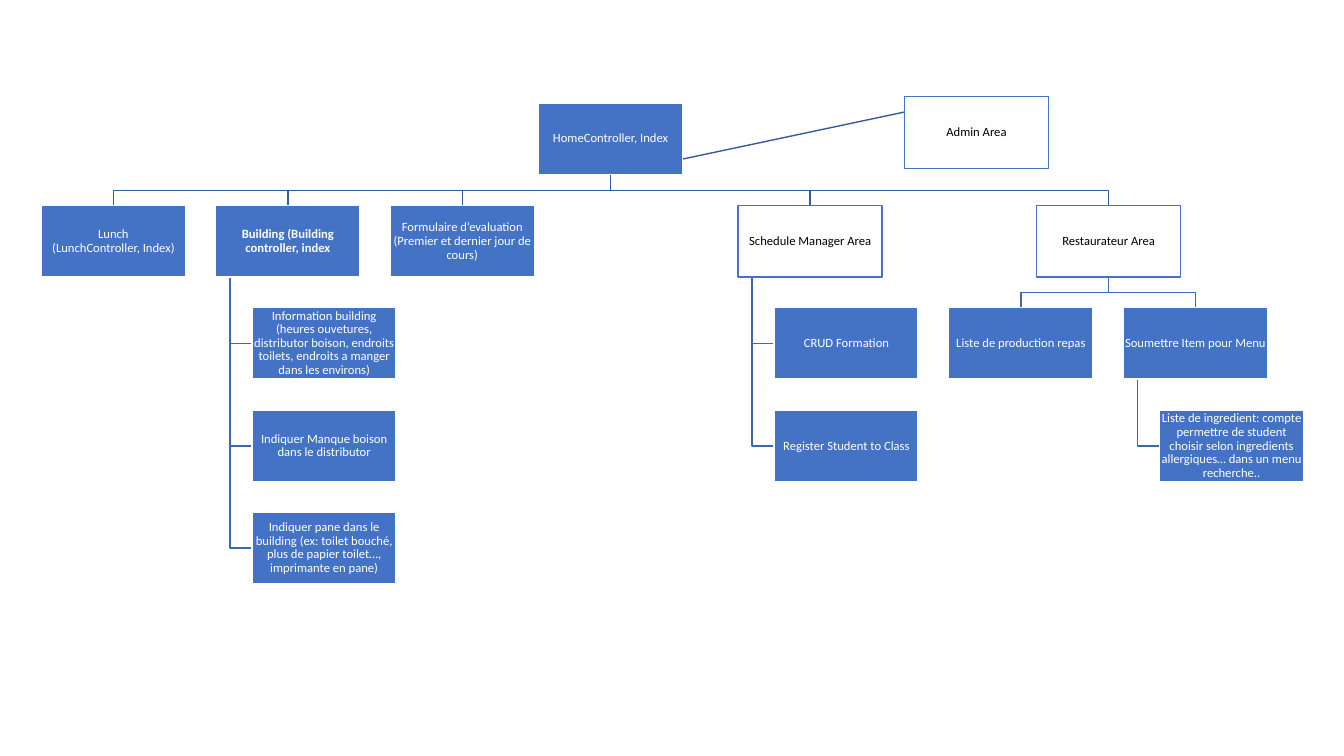
from copy import deepcopy

from lxml import etree
from pptx import Presentation
from pptx import util as u
from pptx.dml.color import RGBColor
from pptx.enum import shapes, text
from pptx.oxml.ns import qn

PX = 9144  # 100 px to the inch
BOX_WIDTH, BOX_HEIGHT = 143, 71
BLUE, WHITE, BLACK = "4472C4", "FFFFFF", "000000"
TRUNK, BRANCH = "365B9D", "3E67B2"
HANG_INDENT, STEM_INDENT, BAR_GAP = 36, 14, 15

PAGE_BOX = {"fill": BLUE, "line": WHITE, "font": WHITE, "width": 1, "bold": False}
BOLD_BOX = {**PAGE_BOX, "bold": True}
EDGED_BOX = {**PAGE_BOX, "width": 1.5}
AREA_BOX = {**PAGE_BOX, "fill": WHITE, "line": BLUE, "font": BLACK}


def color(code):
    return RGBColor.from_string(code)


def row_top(row):
    """Rows are 101.5 px apart, the first at 102."""
    return 102 + (203 * row + 1) // 2


def apply(target, values):
    for name, value in values.items():
        setattr(target, name, value)


def add_box(page, left, top, words, style=PAGE_BOX):
    box = page.shapes.add_shape(
        shapes.MSO_SHAPE.RECTANGLE,
        *(n * PX for n in (left, top, BOX_WIDTH, BOX_HEIGHT)))
    box.shadow.inherit = False
    box.fill.solid()
    box.fill.fore_color.rgb = color(style["fill"])
    box.line.color.rgb = color(style["line"])
    box.line.width = u.Pt(style["width"])
    frame = box.text_frame
    apply(frame, {"word_wrap": True, "vertical_anchor": text.MSO_ANCHOR.MIDDLE,
                  "margin_left": PX, "margin_right": PX,
                  "margin_top": PX, "margin_bottom": PX})
    para = frame.paragraphs[0]
    para.text = words
    apply(para, {"alignment": text.PP_ALIGN.CENTER, "line_spacing": 0.9})
    for span in para.runs:
        apply(span.font, {"name": "Calibri", "size": u.Pt(9), "bold": style["bold"]})
        span.font.color.rgb = color(style["font"])
    for line_break in para._p.findall(qn("a:br")):
        line_break.append(deepcopy(para.runs[0]._r.rPr))
    return box


def put_behind(line, root, code):
    line.line.color.rgb = color(code)
    line.line.width = u.Pt(1)
    root._element.addprevious(line._element)


def add_path(page, root, points, code):
    builder = page.shapes.build_freeform(*points[0])
    builder.add_line_segments(points[1:], close=False)
    line = builder.convert_to_shape()
    line.fill.background()
    line.shadow.inherit = False
    put_behind(line, root, code)


def join_below(page, root, parent, child, code):
    """Draw a stem, a bar and a drop from the parent to the top of the child."""
    start, end = (box.left + box.width // 2 for box in (parent, child))
    bottom = parent.top + parent.height
    bar = child.top - BAR_GAP * PX
    add_path(page, root, [(start, bottom), (start, bar), (end, bar), (end, child.top)], code)


def add_hanging(page, root, parent, first_row, words_list, style=PAGE_BOX):
    """Stack boxes below a parent, each joined to one stem at its left."""
    left = parent.left // PX + HANG_INDENT
    stem = parent.left + STEM_INDENT * PX
    for row, words in enumerate(words_list, first_row):
        child = add_box(page, left, row_top(row), words, style)
        middle = child.top + child.height // 2
        add_path(page, root, [(stem, parent.top + parent.height),
                              (stem, middle), (child.left, middle)], BRANCH)


def add_below(page, root, parent, row, children, code):
    boxes = []
    for left, words, style in children:
        box = add_box(page, left, row_top(row), words, style)
        join_below(page, root, parent, box, code)
        boxes.append(box)
    return boxes


def add_admin(page, home):
    admin = add_box(page, 897, 96, "Admin Area", AREA_BOX)
    link = page.shapes.add_connector(shapes.MSO_CONNECTOR.STRAIGHT, 0, 0, 0, 0)
    link.begin_connect(home, 2)
    link.end_connect(admin, 0)
    etree.SubElement(link._element.spPr, qn("a:effectLst"))
    put_behind(link, home, TRUNK)


def add_site_map(page):
    home = add_box(page, 534, row_top(0), "HomeController, Index")
    add_admin(page, home)
    _, building, _, schedule, restaurant = add_below(page, home, home, 1, [
        (41, "Lunch\n(LunchController, Index)", PAGE_BOX),
        (214, "Building (Building controller, index", BOLD_BOX),
        (387, "Formulaire d’evaluation\n(Premier et dernier jour de cours)", PAGE_BOX),
        (732, "Schedule Manager Area", AREA_BOX),
        (1028, "Restaurateur Area", AREA_BOX),
    ], TRUNK)
    add_hanging(page, home, building, 2, [
        "Information building (heures ouvetures, distributor boison, endroits toilets, "
        "endroits a manger dans les environs)",
        "Indiquer Manque boison dans le distributor",
        "Indiquer pane dans le building (ex: toilet bouché, plus de papier toilet…, "
        "imprimante en pane)",
    ])
    add_hanging(page, home, schedule, 2,
                ["CRUD Formation", "Register Student to Class"], EDGED_BOX)
    _, menu = add_below(page, home, restaurant, 2, [
        (941, "Liste de production repas", PAGE_BOX),
        (1114, "Soumettre Item pour Menu", PAGE_BOX),
    ], BRANCH)
    add_hanging(page, home, menu, 3, [
        "Liste de ingredient: compte permettre de student choisir selon ingredients "
        "allergiques… dans un menu recherche..",
    ])


def main():
    deck = Presentation()
    apply(deck, {"slide_width": 1333 * PX, "slide_height": 750 * PX})
    add_site_map(deck.slides.add_slide(deck.slide_layouts[6]))
    deck.save("out.pptx")


if __name__ == "__main__":
    main()
